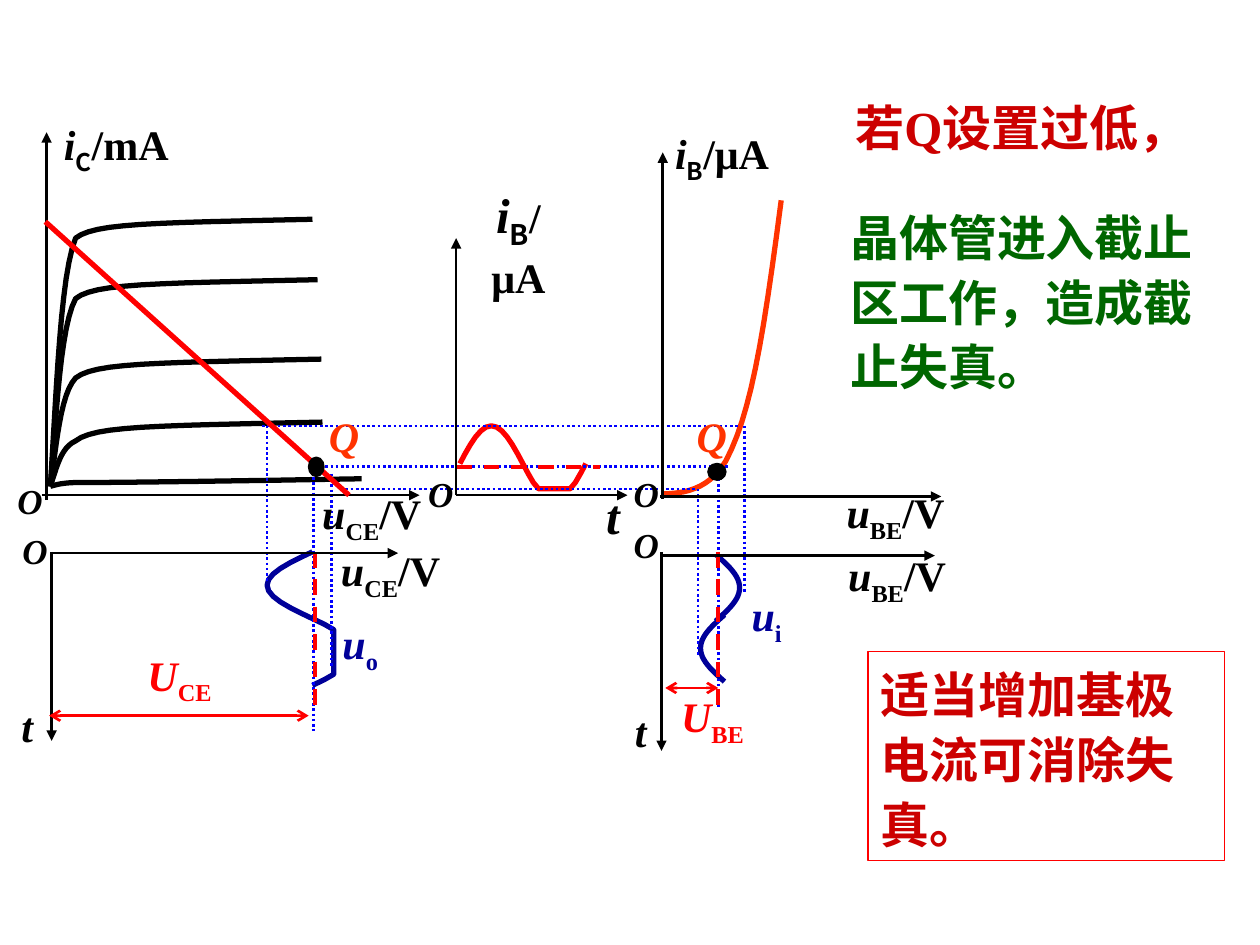
from math import pi, sin
from lxml.etree import SubElement as Sub
from pptx import Presentation
from pptx.dml.color import RGBColor
from pptx.enum.dml import MSO_LINE as Dash
from pptx.enum.shapes import MSO_CONNECTOR as Link, MSO_SHAPE as Kind
from pptx.enum.text import MSO_ANCHOR as Anchor, MSO_AUTO_SIZE as Auto, PP_ALIGN as Align
from pptx.oxml.ns import qn
from pptx.util import Cm, Pt

BLACK, RED, BLUE, NAVY = "000000", "FF0000", "0000FF", "000099"
ORANGE, CRIMSON, GREEN = "FF3300", "CC0000", "006600"
ROMAN, HAN = "Times New Roman", "Noto Sans CJK SC"


def inch(*vals):
    return [Cm(2.54 * v) for v in vals]


def stroke(shape, color, width):
    shape.line.color.rgb = RGBColor.from_string(color)
    shape.line.width = Pt(width)


deck = Presentation()
deck.slide_width, deck.slide_height = inch(10, 7.5)
slide = deck.slides.add_slide(deck.slide_layouts[6])
shapes = slide.shapes

base = 3.86
bends = [(ORANGE, [(5.25, 3.92), (5.5, 3.92), (5.65, 3.84), (5.76, 3.66),
                   (5.95, 3.3), (6.05, 2.75), (6.2, 1.59)])]
for end, top, drop in ((2.87, 3.8, 0.03), (2.56, 3.35, 0.15), (2.55, 2.85, 0.15),
                       (2.52, 2.22, 0.15), (2.48, 1.74, 0.15)):
    knee = top + drop
    rise = base - knee
    bends.append((BLACK, [(0.4, base), (0.45, knee + rise * 0.6), (0.48, knee + rise * 0.15), (0.6, knee),
                          (0.75, top + 0.03), (1.2, top + 0.03), (end, top)]))

curves = []
for color, knots in bends:
    dots = knots[:1]
    for k in range(0, len(knots) - 1, 3):
        for step in range(1, 13):
            t = step / 12
            u = 1 - t
            mix = (u**3, 3 * u * u * t, 3 * u * t * t, t**3)
            dots.append([sum(m * v for m, v in zip(mix, axis)) for axis in zip(*knots[k:k + 4])])
    curves.append((color, dots))

steps = [n / 24 for n in range(25)]
curves.append((RED, [(3.65 + s, 3.68 - max(0.3 * sin(2 * pi * s), -0.2)) for s in steps]))
curves.append((NAVY, [(2.48 - max(0.36 * sin(2 * pi * s), -0.17), 4.38 + 1.06 * s) for s in steps]))
for x, y, swing in ((5.68, 4.4, 0.19), (5.75, 4.88, -0.19)):
    curves.append((NAVY, [(x + swing * sin(pi * s), y + 0.53 * s) for s in steps]))

for color, dots in curves:
    pen = shapes.build_freeform(*inch(*dots[0]))
    pen.add_line_segments([inch(*dot) for dot in dots[1:]], close=False)
    curve = pen.convert_to_shape()
    curve.shadow.inherit = False
    curve.fill.background()
    stroke(curve, color, 3)

styles = {
    "guide": (BLUE, 1.5, Dash.ROUND_DOT, None, None),
    "mean": (RED, 2.25, Dash.DASH, None, None),
    "axis": (BLACK, 1.5, None, None, "triangle"),
    "load": (RED, 3, None, None, None),
    "span": (RED, 1.5, None, "arrow", "arrow"),
}
across = {
    "guide": [(3.38, 2.08, 5.87), (3.88, 2.7, 5.52), (3.7, 2.54, 5.78)],
    "mean": [(3.71, 3.62, 4.76)],
    "axis": [(3.93, 3.62, 4.98), (3.94, 5.24, 7.47), (4.41, 5.26, 7.42),
             (4.39, 0.41, 3.16), (3.93, 0.33, 3.33)],
    "span": [(5.46, 5.28, 5.7), (5.68, 0.39, 2.45)],
}
down = {
    "guide": [(5.54, 3.88, 5.21), (5.91, 3.38, 4.71), (2.63, 3.76, 5.3),
              (2.12, 3.38, 4.63), (5.7, 3.8, 5.63), (2.49, 3.66, 5.8)],
    "mean": [(5.7, 4.38, 5.61), (2.5, 4.38, 5.63)],
    "axis": [(3.62, 3.93, 1.89), (5.26, 3.96, 1.21), (0.37, 3.97, 1.05),
             (5.25, 4.38, 5.96), (0.41, 4.38, 5.88)],
}
for name, (color, width, dash, head, tail) in styles.items():
    ends = [(a, y, b, y) for y, a, b in across.get(name, [])]
    ends += [(x, a, x, b) for x, a, b in down.get(name, [])]
    if name == "load":
        ends = [(0.36, 1.76, 2.77, 3.93)]
    for end in ends:
        line = shapes.add_connector(Link.STRAIGHT, *inch(*end))
        stroke(line, color, width)
        if dash:
            line.line.dash_style = dash
        props = line._element.spPr
        edge = props.find(qn("a:ln"))
        for tag, tip in (("a:headEnd", head), ("a:tailEnd", tail)):
            if tip:
                Sub(edge, qn(tag), type=tip)
        Sub(props, qn("a:effectLst"))

for spot in ((5.62, 3.68, 0.14, 0.13), (2.45, 3.63, 0.12, 0.15)):
    point = shapes.add_shape(Kind.OVAL, *inch(*spot))
    point.shadow.inherit = False
    point.fill.solid()
    point.fill.fore_color.rgb = RGBColor.from_string(BLACK)
    stroke(point, BLACK, 1)

LEFT, MID = Align.LEFT, Align.CENTER
ube = [("u", "var"), ("BE", "sub"), ("/V", "unit")]
uce = [("u", "var"), ("CE", "sub"), ("/V", "unit")]
ib = [("i", "var"), ("B", "hansub"), ("/μA", "unit")]
ic = [("i", "var"), ("C", "hansub"), ("/mA", "unit")]
marks = [
    (5.86, 4.66, 0.45, False, MID, NAVY, 24, [("u", "var"), ("i", "sub")]),
    (2.62, 4.88, 0.5, False, LEFT, NAVY, 24, [("u", "var"), ("o", "sub")]),
    (3.63, 1.64, 0.97, True, MID, BLACK, 28, ib),
    (5.26, 0.99, 1.17, True, LEFT, BLACK, 24, ib),
    (0.41, 0.92, 1.36, True, LEFT, BLACK, 24, ic),
    (6.62, 3.84, 1.01, False, LEFT, BLACK, 24, ube),
    (6.37, 4.34, 1.5, True, MID, BLACK, 24, ube),
    (2.5, 4.3, 1.2, True, MID, BLACK, 24, uce),
    (2.44, 3.85, 1.02, False, MID, BLACK, 24, uce),
    (5.29, 5.46, 0.73, False, MID, RED, 24, [("U", "var"), ("BE", "sub")]),
    (1.04, 5.13, 0.77, True, MID, RED, 24, [("U", "var"), ("CE", "sub")]),
    (4.71, 3.8, 0.31, False, MID, BLACK, 28, [("t", "var")]),
]
for x, y in ((4.94, 5.55), (0.07, 5.51)):
    marks.append((x, y, 0.29, False, MID, BLACK, 24, [("t", "var")]))
for x, y in ((4.93, 3.71), (3.3, 3.71), (4.93, 4.11), (0.04, 3.76), (0.08, 4.16)):
    marks.append((x, y, 0.4, False, LEFT, BLACK, 20, [("O", "var")]))
for x, w in ((5.43, 0.44), (2.45, 0.56)):
    marks.append((x, 3.21, w, True, MID, ORANGE, 24, [("Q", "var")]))
labels = [((x, y, w, 0.02 * size + 0.02), wrap, align, color, size, parts)
          for x, y, w, wrap, align, color, size, parts in marks]
notes = [
    ((6.69, 0.68, 3.31, 0.61), CRIMSON, [("若", "han"), ("Q", "plain"), ("设置过低，", "han")]),
    ((6.65, 1.55, 3.17, 1.64), GREEN, [("晶体管进入截止区工作，造成截止失真。", "han")]),
    ((6.89, 5.17, 2.83, 1.66), CRIMSON, [("适当增加基极电流可消除失真。", "han")]),
]
labels += [(spot, True, LEFT, color, 28, parts) for spot, color, parts in notes]

for spot, wrap, align, color, size, parts in labels:
    box = shapes.add_textbox(*inch(*spot))
    frame = box.text_frame
    frame.word_wrap = wrap
    frame.auto_size = Auto.SHAPE_TO_FIT_TEXT
    frame.vertical_anchor = Anchor.MIDDLE
    para = frame.paragraphs[0]
    para.alignment = align
    if parts[0][1] == "han":
        para.line_spacing = 1.1
    for text, kind in parts:
        run = para.add_run()
        run.text = text
        font = run.font
        font.size = Pt(24 if kind == "unit" else size)
        font.bold = True
        font.italic = kind == "var"
        font.color.rgb = RGBColor.from_string(color)
        font.name = HAN if kind.startswith("han") else ROMAN
        props = run._r.get_or_add_rPr()
        Sub(props, qn("a:ea"), typeface=font.name)
        if kind.endswith("sub"):
            props.set("baseline", "-25000")
stroke(box, RED, 1)

deck.save("out.pptx")
